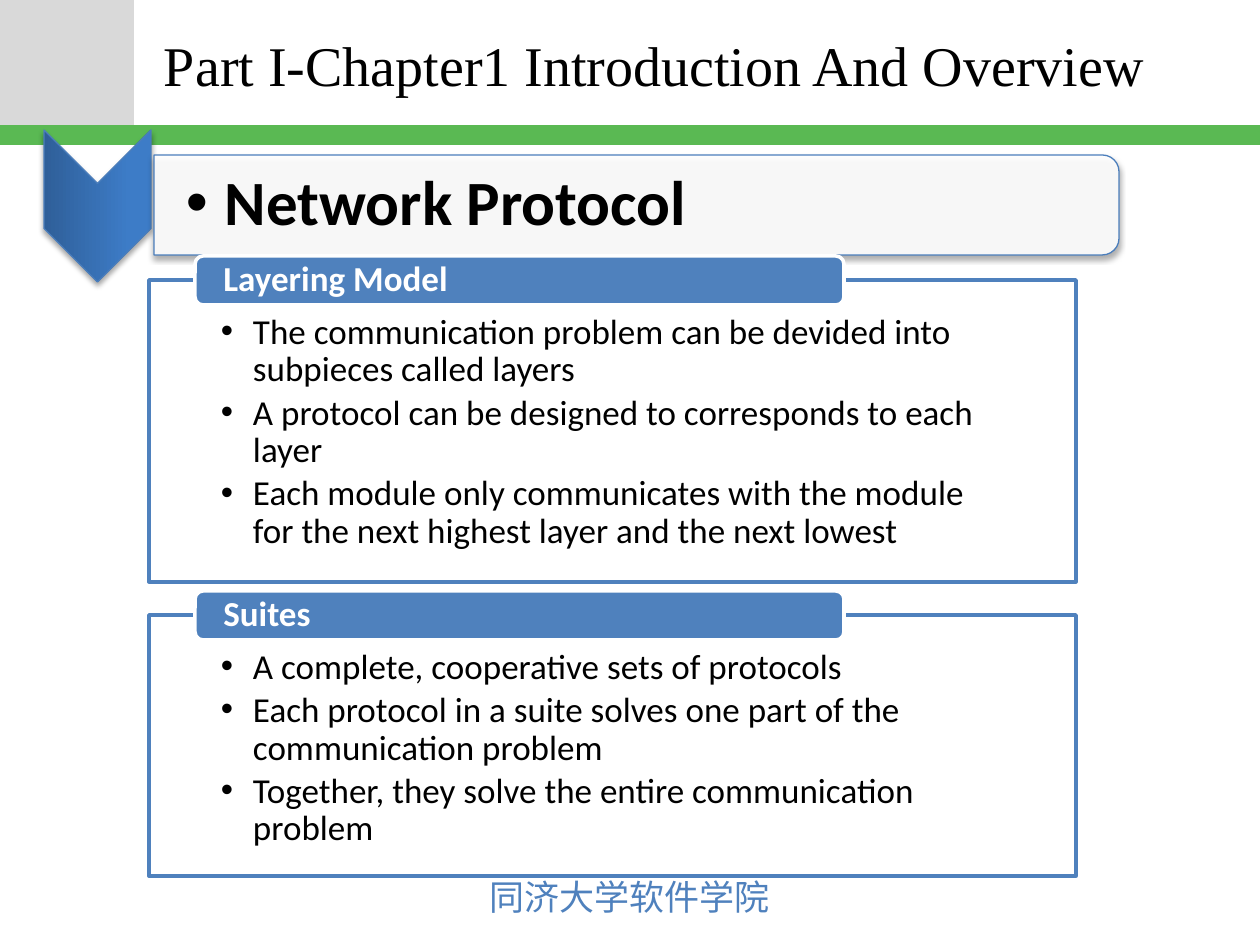
from lxml.etree import SubElement
from pptx import Presentation
from pptx.dml.color import RGBColor
from pptx.enum.shapes import MSO_SHAPE as Shape
from pptx.enum.text import MSO_ANCHOR as Anchor, MSO_AUTO_SIZE as AutoSize, PP_ALIGN as Align
from pptx.oxml.ns import qn
from pptx.util import Emu, Pt

TITLE = "Part I-Chapter1 Introduction And Overview"
HEADING = "Network Protocol"
FOOTER = "同济大学软件学院"
# Panels: label, top and height in px, bullet points
PANELS = [
    ("Layering Model", 280, 302, [
        "The communication problem can be devided into subpieces called layers",
        "A protocol can be designed to corresponds to each layer",
        "Each module only communicates with the module for the next highest layer and the next lowest",
    ]),
    ("Suites", 615, 261, [
        "A complete, cooperative sets of protocols",
        "Each protocol in a suite solves one part of the communication problem",
        "Together, they solve the entire communication problem",
    ]),
]
BLUE, EDGE, WHITE, BLACK = "4F81BD", "4B7EBC", "FFFFFF", "000000"
BODY = {"size": Pt(20), "name": "Calibri", "color": BLACK}
LABEL = BODY | {"bold": True, "color": WHITE}
HEAD = BODY | {"bold": True, "size": Pt(36)}
TITLE_FONT = {"size": Pt(32), "name": "Times New Roman", "color": BLACK}
FOOTER_FONT = {"size": Pt(20), "name": "Noto Sans CJK JP", "color": BLUE}


def px(value):
    return Emu(round(value * 914400 / 126))


def rgb(value):
    return RGBColor.from_string(value)


def add_box(kind, left, top, width, height, fill, line=None, weight=2, alpha=None, turned=False):
    """Add a shape by its visible frame; a turned shape is rotated by 90 degrees."""
    if turned:
        left, top = left + (width - height) / 2, top + (height - width) / 2
        width, height = height, width
    box = page.shapes.add_shape(kind, px(left), px(top), px(width), px(height))
    box.rotation = 90 if turned else 0
    box.shadow.inherit = False
    box.fill.solid()
    box.fill.fore_color.rgb = rgb(fill)
    if alpha:
        color = box._element.spPr.find(qn("a:solidFill"))[0]
        SubElement(color, qn("a:alpha"), val=str(alpha * 1000))
    if line:
        box.line.color.rgb = rgb(line)
        box.line.width = Pt(weight)
    else:
        box.line.fill.background()
    return box


def add_shadow(box):
    effects = box._element.spPr.find(qn("a:effectLst"))
    shadow = SubElement(effects, qn("a:outerShdw"), blurRad=str(Pt(3.1)), dist=str(Pt(1.8)),
                        dir="5400000", rotWithShape="0")
    color = SubElement(shadow, qn("a:srgbClr"), val=BLACK)
    SubElement(color, qn("a:alpha"), val="35000")


def write(box, lines, style, insets, anchor=Anchor.MIDDLE, wrap=True, spacing=None, after=0, hang=0):
    frame = box.text_frame
    frame.word_wrap, frame.vertical_anchor = wrap, anchor
    for side, inset in zip(("left", "top", "right", "bottom"), insets):
        setattr(frame, "margin_" + side, px(inset))
    for index, line in enumerate(lines):
        para = frame.paragraphs[0] if index == 0 else frame.add_paragraph()
        para.alignment, para.line_spacing, para.space_after = Align.LEFT, spacing, Pt(after)
        span = para.add_run()
        span.text = line
        for key, value in style.items():
            if key == "color":
                span.font.color.rgb = rgb(value)
            else:
                setattr(span.font, key, value)
        if style["name"].startswith("Noto"):
            SubElement(span.font._element, qn("a:ea"), typeface=style["name"])
        if hang:
            props = para._p.get_or_add_pPr()
            props.set("marL", str(px(hang)))
            props.set("indent", str(-px(hang)))
            SubElement(props, qn("a:buFont"), typeface="Arial")
            SubElement(props, qn("a:buChar"), char="•")


deck = Presentation()
deck.slide_width, deck.slide_height = px(1260), px(945)
page = deck.slides.add_slide(deck.slide_layouts[5])

# Frame of the page: corner block, green band, footer, title
add_box(Shape.RECTANGLE, 0, 0, 134, 125, "D9D9D9")
add_box(Shape.RECTANGLE, 0, 125, 1260, 20, "5AB953")
footer = page.shapes.add_textbox(px(476), px(869), px(309), px(55))
write(footer, [FOOTER], FOOTER_FONT, (13, 6, 13, 6), Anchor.TOP, wrap=False)
footer.text_frame.auto_size = AutoSize.SHAPE_TO_FIT_TEXT
title = page.shapes.title
title.left, title.top, title.width, title.height = px(151), px(3), px(1083), px(123)
write(title, [TITLE], TITLE_FONT, (13, 6, 13, 6))

# Heading: chevron and rounded bar
chevron = add_box(Shape.CHEVRON, 44, 130, 107, 152, BLUE, EDGE, 0.75, turned=True)
chevron.fill.gradient()
chevron.fill.gradient_angle = 90
for stop, (position, color) in zip(chevron.fill.gradient_stops, [(0, "2F5F99"), (0.8, "3D7CC7")]):
    stop.position, stop.color.rgb = position, rgb(color)
bar = add_box(Shape.ROUND_2_SAME_RECTANGLE, 154, 155, 965, 100, WHITE, EDGE, 0.75, 90, turned=True)
for box in (chevron, bar):
    add_shadow(box)
heading = page.shapes.add_textbox(px(154), px(160), px(961), px(90))
write(heading, [HEADING], HEAD, (32, 3, 3, 3), spacing=0.9, hang=39)

# Panels, each with a label across its top edge
for label, top, height, points in PANELS:
    panel = add_box(Shape.RECTANGLE, 149, top, 927, height, WHITE, BLUE, alpha=90)
    write(panel, points, BODY, (72, 34, 72, 20), Anchor.TOP, spacing=0.9, after=3, hang=32)
    tab = add_box(Shape.ROUNDED_RECTANGLE, 195, top - 24, 649, 49, BLUE, WHITE)
    write(tab, [label], LABEL, (26, 0, 26, 0), spacing=0.9)

deck.save("out.pptx")
